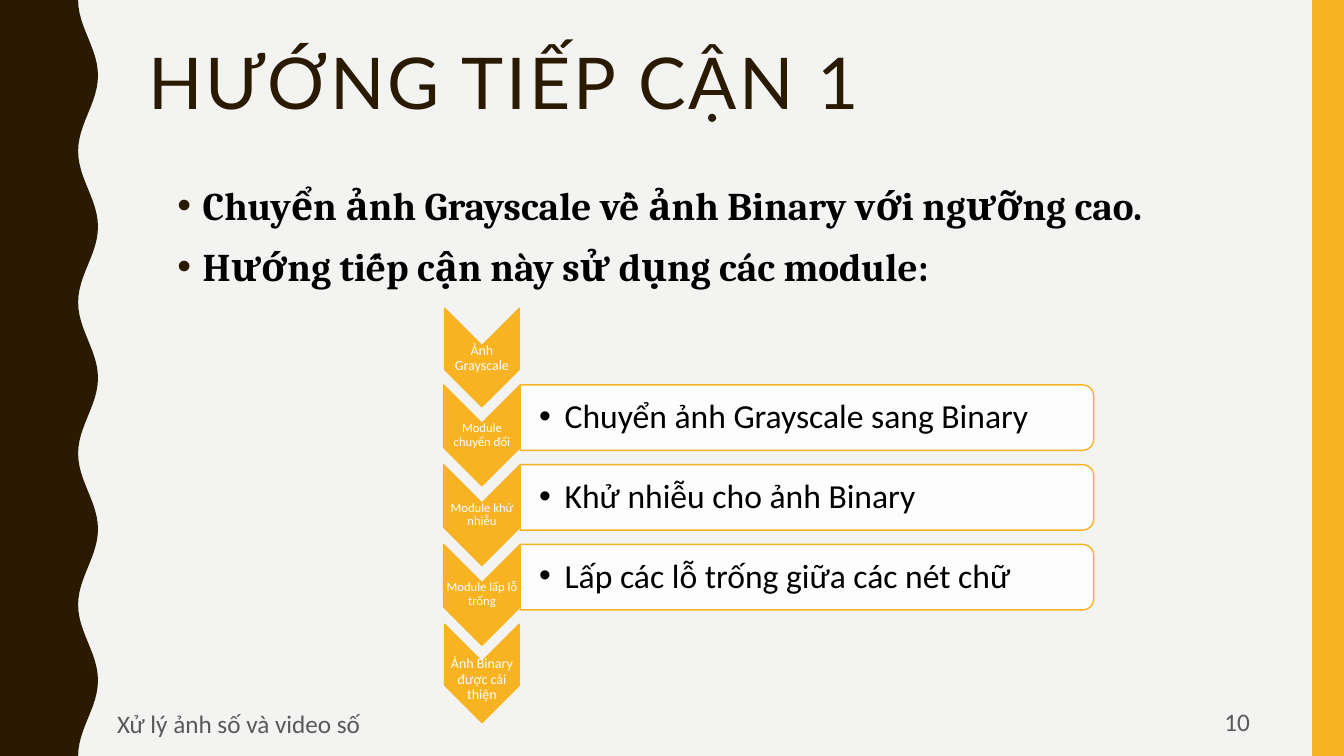
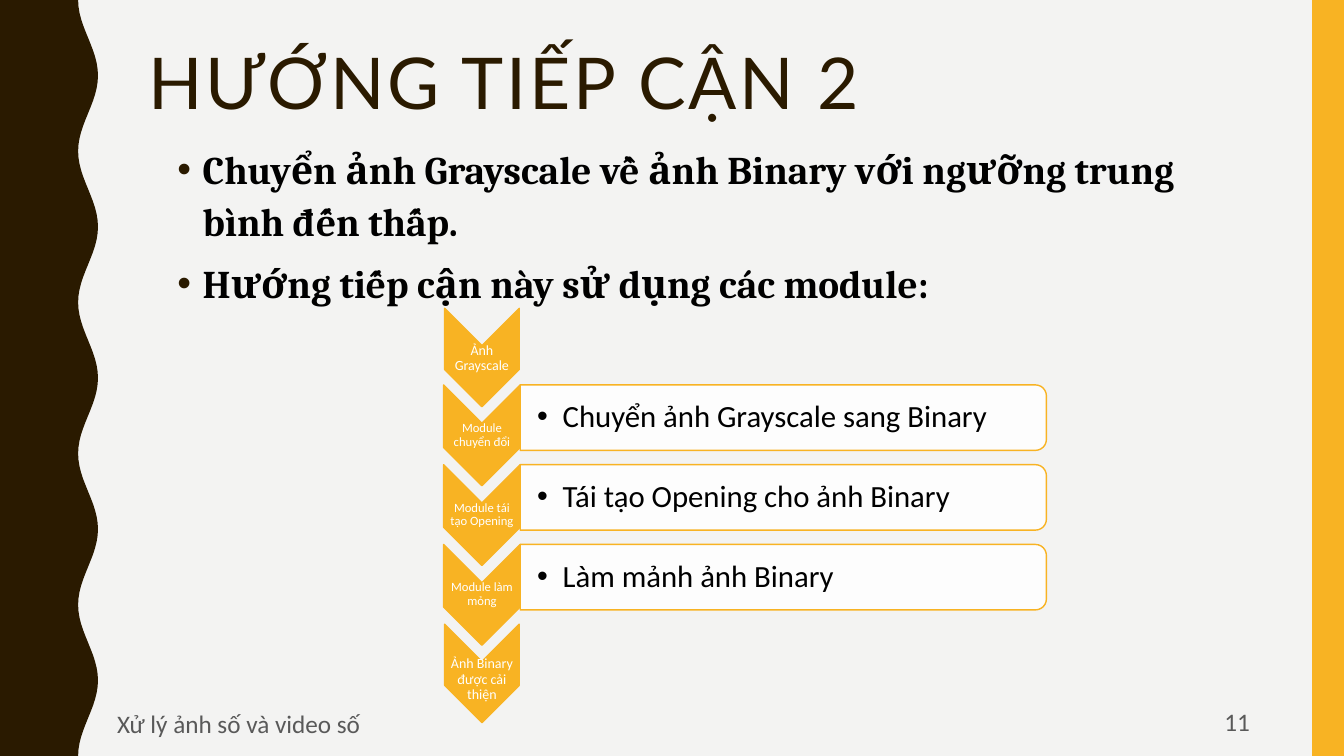
import math

import pptx
import pptx.dml.color
import pptx.enum.shapes
import pptx.enum.text
import pptx.oxml
import pptx.oxml.ns
import pptx.util
from lxml import etree

Cm = pptx.util.Cm
Pt = pptx.util.Pt
MSO_SHAPE = pptx.enum.shapes.MSO_SHAPE
ALIGN = pptx.enum.text.PP_ALIGN
ANCHOR = pptx.enum.text.MSO_ANCHOR
qn = pptx.oxml.ns.qn

SLIDE_W, SLIDE_H = 33.87, 19.05
BROWN, GOLD, PAPER = "2A1A00", "F8B323", "F3F3F2"
BLACK, WHITE, GREY = "000000", "FFFFFF", "595959"
FOOTER = "Xử lý ảnh số và video số"

CHEVRON_X = 11.18
MODULE_W, MODULE_H = 1.93, 2.54
END_W, END_H = 1.88, 2.48
FIRST_TOP, MODULE_TOP, PITCH = 7.77, 9.7, 2.01
BAR_X, BAR_H = 13.11, 1.65


def rgb(color):
    return pptx.dml.color.RGBColor.from_string(color)


def paint(sp, fill, line=None, opacity=100):
    sp.shadow.inherit = False
    sp.fill.solid()
    sp.fill.fore_color.rgb = rgb(fill)
    if opacity < 100:
        clr = sp.fill._xPr.find(".//" + qn("a:srgbClr"))
        etree.SubElement(clr, qn("a:alpha"), val=str(opacity * 1000))
    if line:
        sp.line.color.rgb = rgb(line)
        sp.line.width = Pt(1)
    else:
        sp.line.fill.background()


def add_run(p, text, size, color, font="Calibri", bold=False):
    r = p.add_run()
    r.text = text
    r.font.name = font
    r.font.size = Pt(size)
    r.font.bold = bold
    r.font.color.rgb = rgb(color)
    return r


def add_box(s, left, top, width, height, anchor=ANCHOR.MIDDLE, insets=None):
    """Add a wrapping text box and return its text frame; insets are (left, others)."""
    tf = s.shapes.add_textbox(Cm(left), Cm(top), Cm(width), Cm(height)).text_frame
    tf.word_wrap = True
    tf.vertical_anchor = anchor
    if insets:
        tf.margin_left = Cm(insets[0])
        tf.margin_top = tf.margin_right = tf.margin_bottom = Cm(insets[1])
    return tf


def add_bullet(p, color):
    pPr = p._p.get_or_add_pPr()
    pPr.set("marL", str(Cm(0.64)))
    pPr.set("indent", str(-Cm(0.64)))
    clr = etree.SubElement(pPr, qn("a:buClr"))
    etree.SubElement(clr, qn("a:srgbClr"), val=color)
    etree.SubElement(pPr, qn("a:buFont"), typeface="Arial")
    etree.SubElement(pPr, qn("a:buChar"), char="•")


def add_turned(s, kind, left, top, width, height):
    """Add a shape turned 90 degrees that covers the given box."""
    x = left + (width - height) / 2
    y = top + (height - width) / 2
    sp = s.shapes.add_shape(kind, Cm(x), Cm(y), Cm(height), Cm(width))
    sp.rotation = 90
    return sp


def decorate_layout(layout, s):
    """Draw the wavy edge and the gold band on s, then move them to the layout."""
    for ph in list(layout.placeholders):
        if ph.placeholder_format.idx != 0:
            layout.shapes.element.remove(ph.element)

    steps = 120
    wave = []
    for i in range(steps + 1):
        y = SLIDE_H * i / steps
        x = 2.22 - 0.25 * math.cos(2 * math.pi * y * 5 / SLIDE_H)
        wave.append((Cm(x), Cm(y)))
    builder = s.shapes.build_freeform(0, 0, scale=1.0)
    builder.add_line_segments(wave + [(0, Cm(SLIDE_H))], close=True)
    edge = builder.convert_to_shape()
    paint(edge, BROWN)
    band = s.shapes.add_shape(MSO_SHAPE.RECTANGLE, Cm(33.07), 0, Cm(0.8), Cm(SLIDE_H))
    paint(band, GOLD)
    for sp in (band, edge):
        layout.shapes.element.insert(2, sp.element)


def set_title(s, text):
    title = s.shapes.title
    title.left, title.top, title.width, title.height = Cm(3.48), Cm(1.07), Cm(28.27), Cm(4.14)
    tf = title.text_frame
    tf.auto_size = pptx.enum.text.MSO_AUTO_SIZE.NONE
    tf.vertical_anchor = ANCHOR.TOP
    p = tf.paragraphs[0]
    p.alignment = ALIGN.LEFT
    p.line_spacing = 0.9
    r = add_run(p, text, 51, BROWN, "Lato")
    r._r.get_or_add_rPr().set("spc", "200")


def add_footer(s, number):
    p = add_box(s, 0.3, 17.75, 11.43, 0.97).paragraphs[0]
    p.alignment = ALIGN.CENTER
    add_run(p, FOOTER, 18, GREY)
    p = add_box(s, 23.93, 17.7, 7.82, 0.97).paragraphs[0]
    p.alignment = ALIGN.RIGHT
    add_run(p, str(number), 18, GREY)


def add_body(s, top, lines):
    tf = add_box(s, 4.22, top, 26.8, 3.18, ANCHOR.TOP)
    for i, line in enumerate(lines):
        p = tf.add_paragraph() if i else tf.paragraphs[0]
        add_bullet(p, BROWN)
        p.line_spacing = 1.1
        if i:
            p.space_before = Pt(7)
        add_run(p, line, 28, BLACK, "Cambria", bold=True)


def add_chevron(s, label, top, width, height, size, label_drop=0.89):
    left = CHEVRON_X + (MODULE_W - width) / 2
    paint(add_turned(s, MSO_SHAPE.CHEVRON, left, top, width, height), GOLD, GOLD)
    tf = add_box(s, left, top + label_drop, width, 0.75, insets=(0.02, 0.02))
    p = tf.paragraphs[0]
    p.alignment = ALIGN.CENTER
    p.line_spacing = 0.9
    add_run(p, label, size, WHITE)


def add_bar(s, text, top, width, size, inset):
    sp = add_turned(s, MSO_SHAPE.ROUND_2_SAME_RECTANGLE, BAR_X, top, width, BAR_H)
    paint(sp, WHITE, GOLD, opacity=90)
    p = add_box(s, BAR_X, top + 0.08, width - 0.08, 1.5, insets=(inset, 0.05)).paragraphs[0]
    add_bullet(p, BLACK)
    p.line_spacing = 0.9
    add_run(p, text, size, BLACK)


def add_flow(s, modules, bar_width, bar_size, bar_inset):
    """Draw the chevron column from input to output, with a bar beside each module."""
    for i, (label, text) in enumerate(modules):
        top = MODULE_TOP + i * PITCH
        add_chevron(s, label, top, MODULE_W, MODULE_H, 9)
        add_bar(s, text, top, bar_width, bar_size, bar_inset)
    add_chevron(s, "Ảnh Grayscale", FIRST_TOP, END_W, END_H, 10)
    last_top = MODULE_TOP + len(modules) * PITCH
    add_chevron(s, "Ảnh Binary được cải thiện", last_top, END_W, END_H, 10, 1.02)


SLIDES = [
    {
        "number": 10,
        "title": "HƯỚNG TIẾP CẬN 1",
        "body_top": 4.32,
        "body": ["Chuyển ảnh Grayscale về ảnh Binary với ngưỡng cao.",
                 "Hướng tiếp cận này sử dụng các module:"],
        "modules": [("Module chuyển đổi", "Chuyển ảnh Grayscale sang Binary"),
                    ("Module khử nhiễu", "Khử nhiễu cho ảnh Binary"),
                    ("Module lấp lỗ trống", "Lấp các lỗ trống giữa các nét chữ")],
        "bar": (14.45, 24, 0.48),
    },
    {
        "number": 11,
        "title": "HƯỚNG TIẾP CẬN 2",
        "body_top": 3.43,
        "body": ["Chuyển ảnh Grayscale về ảnh Binary với ngưỡng trung bình đến thấp.",
                 "Hướng tiếp cận này sử dụng các module:"],
        "modules": [("Module chuyển đổi", "Chuyển ảnh Grayscale sang Binary"),
                    ("Module tái tạo Opening", "Tái tạo Opening cho ảnh Binary"),
                    ("Module làm mỏng", "Làm mảnh ảnh Binary")],
        "bar": (13.26, 22, 0.43),
    },
]


def main():
    prs = pptx.Presentation()
    prs.slide_width, prs.slide_height = Cm(SLIDE_W), Cm(SLIDE_H)
    fill = prs.slide_master.background.fill
    fill.solid()
    fill.fore_color.rgb = rgb(PAPER)
    layout = prs.slide_layouts.get_by_name("Title Only")

    for i, content in enumerate(SLIDES):
        s = prs.slides.add_slide(layout)
        if i == 0:
            decorate_layout(layout, s)
        set_title(s, content["title"])
        add_footer(s, content["number"])
        add_body(s, content["body_top"], content["body"])
        add_flow(s, content["modules"], *content["bar"])
    prs.save("out.pptx")


if __name__ == "__main__":
    main()
